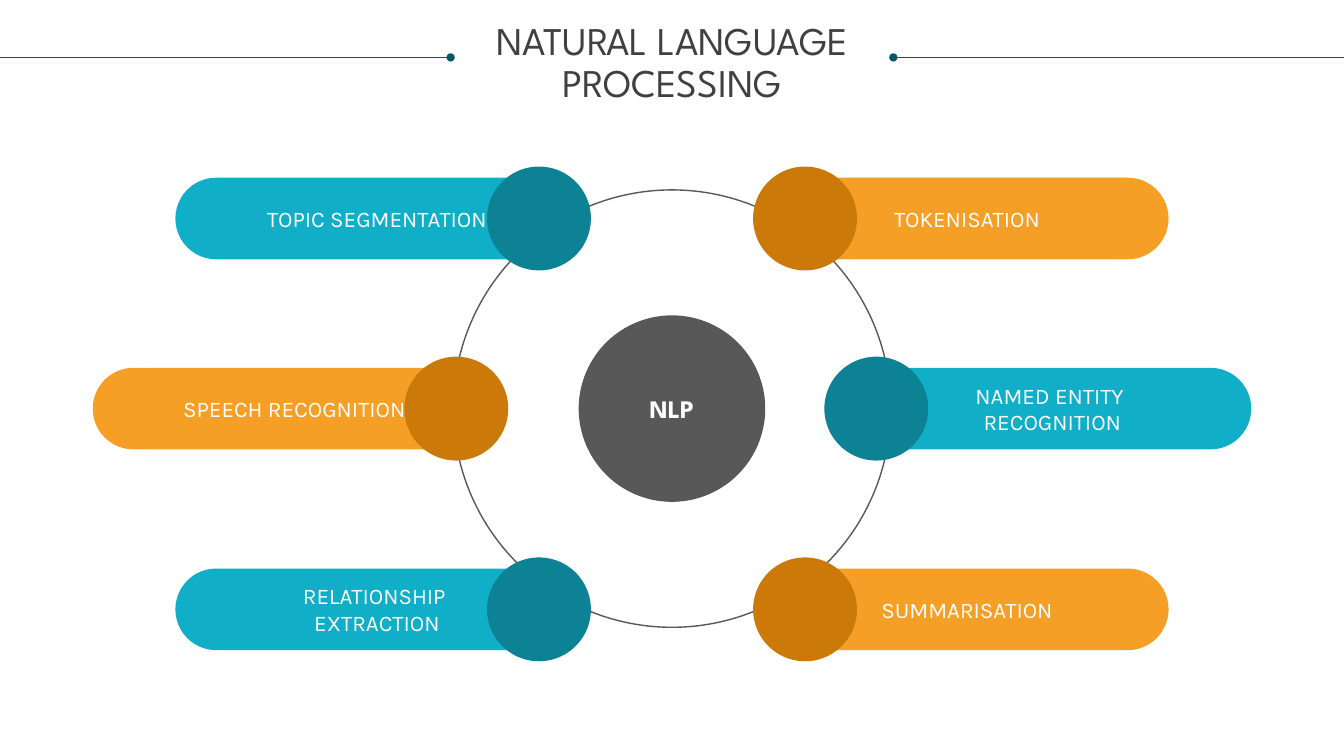
from lxml.etree import SubElement
from pptx import Presentation
from pptx.dml.color import RGBColor
from pptx.enum.shapes import MSO_CONNECTOR, MSO_SHAPE
from pptx.enum.text import MSO_ANCHOR, PP_ALIGN
from pptx.oxml.ns import qn
from pptx.util import Inches, Pt

SLIDE_WIDTH, SLIDE_HEIGHT = Inches(13.33), Inches(7.5)
COLUMN, ROW = SLIDE_WIDTH / 100, SLIDE_HEIGHT / 100
MIDDLE = 50
HUB_ROW = 54.05

WHITE = RGBColor(0xFF, 0xFF, 0xFF)
TITLE_GRAY = RGBColor(0x40, 0x40, 0x40)
HUB_GRAY = RGBColor(0x58, 0x58, 0x58)
RULE_TEAL = RGBColor(0x08, 0x57, 0x64)
TEAL = RGBColor(0x11, 0xAE, 0xC7)
DARK_TEAL = RGBColor(0x0D, 0x82, 0x95)
ORANGE = RGBColor(0xF5, 0x9F, 0x26)
DARK_ORANGE = RGBColor(0xCB, 0x7A, 0x09)

HEADING_FONT, LABEL_FONT = "League Spartan", "Karla"
TEAL_PAIR, ORANGE_PAIR = (TEAL, DARK_TEAL), (ORANGE, DARK_ORANGE)

# Each topic: lines, bar and knob offsets from the middle, row, colours
TOPICS = [
    (["TOKENISATION"], 21.95, 9.9, 28.9, ORANGE_PAIR),
    (["NAMED ENTITY", " RECOGNITION"], 28.1, 15.2, HUB_ROW, TEAL_PAIR),
    (["SUMMARISATION"], 21.95, 9.9, 80.6, ORANGE_PAIR),
    (["TOPIC SEGMENTATION"], -21.95, -9.9, 28.9, TEAL_PAIR),
    (["SPEECH RECOGNITION"], -28.1, -16.05, HUB_ROW, ORANGE_PAIR),
    (["RELATIONSHIP ", "EXTRACTION"], -21.95, -9.9, 80.6, TEAL_PAIR),
]


def write_lines(frame, lines, font_name, size, color, bold=None, spacing=None):
    frame.word_wrap = True
    for index, line in enumerate(lines):
        paragraph = frame.add_paragraph() if index else frame.paragraphs[0]
        paragraph.text = line
        paragraph.alignment = PP_ALIGN.CENTER
        paragraph.line_spacing = spacing
        paragraph.font.name = font_name
        paragraph.font.size = Pt(size)
        paragraph.font.bold = bold
        paragraph.font.color.rgb = color


def add_centered(slide, kind, column, row, width, height, fill=None):
    shape = slide.shapes.add_shape(
        kind, round(column * COLUMN - width / 2), round(row * ROW - height / 2),
        round(width), round(height))
    shape.shadow.inherit = False
    shape.line.fill.background()
    if fill is None:
        shape.fill.background()
    else:
        shape.fill.solid()
        shape.fill.fore_color.rgb = fill
    shape.text_frame.vertical_anchor = MSO_ANCHOR.MIDDLE
    return shape


def add_circle(slide, column, row, columns_across, fill=None):
    diameter = columns_across * COLUMN
    return add_centered(slide, MSO_SHAPE.OVAL, column, row, diameter, diameter, fill)


def add_title_rule(slide, start, end, dotted_end):
    height = round(7.6 * ROW)
    rule = slide.shapes.add_connector(
        MSO_CONNECTOR.STRAIGHT, round(start * COLUMN), height, round(end * COLUMN), height)
    rule.line.color.rgb = RULE_TEAL
    rule.line.width = Pt(0.5)
    properties = rule.line._get_or_add_ln()
    SubElement(properties, qn(f"a:{dotted_end}"), type="oval")
    SubElement(rule._element.spPr, qn("a:effectLst"))


def add_title(slide):
    title = slide.shapes.add_textbox(
        round(1.9 * COLUMN), round(2.8 * ROW), round(96.2 * COLUMN), round(16.9 * ROW))
    frame = title.text_frame
    frame.margin_left = frame.margin_right = frame.margin_top = frame.margin_bottom = 0
    write_lines(frame, ["NATURAL LANGUAGE", "PROCESSING"], HEADING_FONT, 28,
                TITLE_GRAY, spacing=0.9)


def add_topic(slide, lines, bar_offset, knob_offset, row, colors):
    bar_color, knob_color = colors
    bar = add_centered(slide, MSO_SHAPE.ROUNDED_RECTANGLE, MIDDLE + bar_offset, row,
                       30 * COLUMN, 10.8 * ROW, bar_color)
    bar.adjustments[0] = 0.5
    write_lines(bar.text_frame, lines, LABEL_FONT, 16, WHITE)
    add_circle(slide, MIDDLE + knob_offset, row, 7.73, knob_color)


def main():
    presentation = Presentation()
    presentation.slide_width, presentation.slide_height = SLIDE_WIDTH, SLIDE_HEIGHT
    slide = presentation.slides.add_slide(presentation.slide_layouts[6])

    ring = add_circle(slide, MIDDLE, HUB_ROW, 32.55)
    ring.line.color.rgb = HUB_GRAY
    ring.line.width = Pt(1)

    add_title_rule(slide, 66.47, 100, "headEnd")
    add_title(slide)
    add_title_rule(slide, 0, 33.53, "tailEnd")

    hub = add_circle(slide, MIDDLE, HUB_ROW, 13.88, HUB_GRAY)
    write_lines(hub.text_frame, ["NLP"], HEADING_FONT, 18, WHITE, bold=True)

    for topic in TOPICS:
        add_topic(slide, *topic)

    presentation.save("out.pptx")


main()
